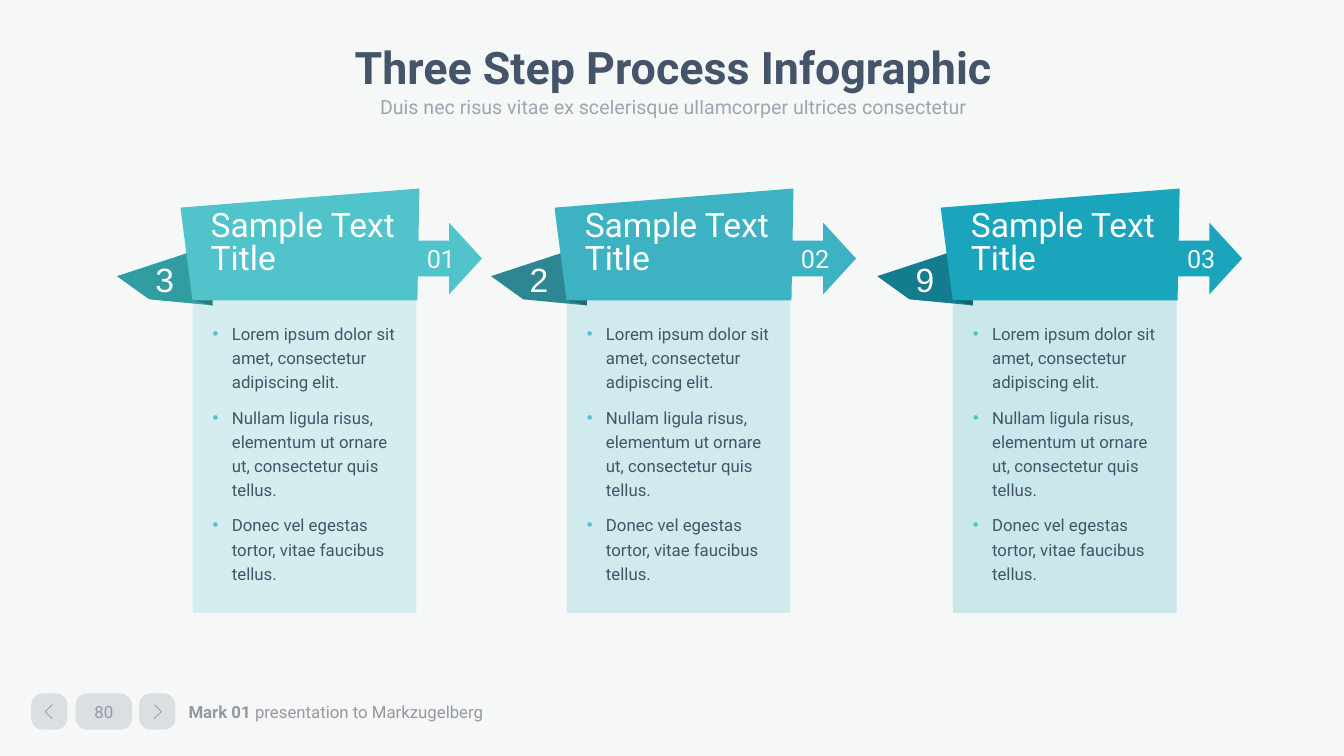
from dataclasses import dataclass

from lxml import etree
from pptx import Presentation
from pptx.dml.color import RGBColor
from pptx.enum.shapes import MSO_SHAPE
from pptx.enum.text import MSO_ANCHOR, MSO_AUTO_SIZE, PP_ALIGN
from pptx.oxml.ns import qn
from pptx.util import Pt

ROUNDED, RECTANGLE, ARROW = (
    MSO_SHAPE.ROUNDED_RECTANGLE, MSO_SHAPE.RECTANGLE, MSO_SHAPE.RIGHT_ARROW)
LEFT, CENTER = PP_ALIGN.LEFT, PP_ALIGN.CENTER
TOP, MIDDLE = MSO_ANCHOR.TOP, MSO_ANCHOR.MIDDLE
NO_AUTOFIT = MSO_AUTO_SIZE.NONE

PX = 9144  # 100 px to the inch
TITLE_ONLY = 5
INK, PAPER, WHITE, BULLET = "445469", "F6F8F8", "FFFFFF", "51C3CA"
DEFAULT_INSETS = (10, 5, 10, 5)

# Column outlines: x from the column's left edge, y from the slide's top
WEDGE = ((70, 251), (0, 274), (32, 297), (95, 303))
FOLD = ((75, 298), (95, 303), (95, 275))
BANNER = ((63, 206), (300, 187), (298, 298), (75, 298))

POINTS = [
    "Lorem ipsum dolor sit amet, consectetur adipiscing elit.",
    "Nullam ligula risus, elementum ut ornare ut, consectetur quis tellus.",
    "Donec vel egestas tortor, vitae faucibus tellus.",
]


@dataclass(frozen=True)
class Step:
    left: int
    badge: str
    number: str
    color: str
    wedge_color: str
    fold_color: str


@dataclass(frozen=True)
class TextStyle:
    size: int
    color: str = INK
    alpha: int = 100
    font: str = "Roboto"
    bold: bool = False
    align: PP_ALIGN = CENTER
    anchor: MSO_ANCHOR = MIDDLE
    spacing: float = 1.0
    after: int = 0
    bulleted: bool = False
    insets: tuple[int, int, int, int] = DEFAULT_INSETS


STEPS = [
    Step(116, "3", "01", "51C3CA", "329CA3", "21686C"),
    Step(487, "2", "02", "3CB2C3", "2D8692", "1E5962"),
    Step(870, "9", "03", "1AA5BD", "137C8E", "0D525E"),
]

TITLE = TextStyle(32, bold=True, anchor=TOP, spacing=0.9)
SUBTITLE = TextStyle(14, alpha=50, anchor=TOP, spacing=1.2)
BADGE = TextStyle(24, WHITE, font="Arial")
HEADING = TextStyle(24, WHITE, align=LEFT, spacing=0.8, insets=(30, 0, 10, 0))
NUMBER = TextStyle(18, PAPER)
BODY = TextStyle(12, align=LEFT, anchor=TOP, spacing=1.2, after=8,
                 bulleted=True, insets=(20, 20, 20, 20))
PAGE = TextStyle(12, alpha=50, insets=(0, 0, 0, 0))
FOOTER = TextStyle(12, "9499A1", align=LEFT, insets=(13, 7, 13, 7))


def paint(fill, color: str, alpha: int = 100) -> None:
    fill.solid()
    fill.fore_color.rgb = RGBColor.from_string(color)
    if alpha < 100:
        rgb = fill._xPr.find(f".//{qn('a:srgbClr')}")
        etree.SubElement(rgb, qn("a:alpha"), val=str(alpha * 1000))


def add_bullet(paragraph) -> None:
    properties = paragraph._p.get_or_add_pPr()
    properties.set("marL", str(19 * PX))
    properties.set("indent", str(-19 * PX))
    bullet_color = etree.SubElement(properties, qn("a:buClr"))
    etree.SubElement(bullet_color, qn("a:srgbClr"), val=BULLET)
    etree.SubElement(properties, qn("a:buFont"), typeface="Arial")
    etree.SubElement(properties, qn("a:buChar"), char="•")


def write(shape, lines: list[str], style: TextStyle) -> None:
    frame = shape.text_frame
    frame.word_wrap = True
    frame.auto_size = NO_AUTOFIT
    frame.vertical_anchor = style.anchor
    (frame.margin_left, frame.margin_top,
     frame.margin_right, frame.margin_bottom) = (n * PX for n in style.insets)
    frame.text = "\n".join(lines)
    for paragraph in frame.paragraphs:
        paragraph.alignment = style.align
        paragraph.line_spacing = style.spacing
        paragraph.space_before = Pt(0)
        paragraph.space_after = Pt(style.after)
        if style.bulleted:
            add_bullet(paragraph)
        font = paragraph.font
        font.size, font.name, font.bold = Pt(style.size), style.font, style.bold
        paint(font.fill, style.color, style.alpha)


def place(shape, left: int, top: int, width: int, height: int) -> None:
    shape.left, shape.top = left * PX, top * PX
    shape.width, shape.height = width * PX, height * PX


def add_preset(slide, kind, box: tuple[int, int, int, int], color: str,
               alpha: int = 100):
    shape = slide.shapes.add_shape(kind, *(n * PX for n in box))
    shape.shadow.inherit = False
    shape.line.fill.background()
    paint(shape.fill, color, alpha)
    return shape


def add_outline(slide, points, left: int = 0, closed: bool = True):
    (x, y), *rest = [(left + x, y) for x, y in points]
    builder = slide.shapes.build_freeform(x, y, scale=PX)
    builder.add_line_segments(rest, close=closed)
    shape = builder.convert_to_shape()
    shape.shadow.inherit = False
    return shape


def add_polygon(slide, points, left: int, color: str):
    shape = add_outline(slide, points, left)
    shape.line.fill.background()
    paint(shape.fill, color)
    return shape


def add_caption(slide, box: tuple[int, int, int, int], text: str,
                style: TextStyle):
    caption = slide.shapes.add_textbox(*(n * PX for n in box))
    write(caption, [text], style)
    return caption


def add_step(slide, step: Step) -> None:
    wedge = add_polygon(slide, WEDGE, step.left, step.wedge_color)
    write(wedge, [step.badge], BADGE)
    add_polygon(slide, FOLD, step.left, step.fold_color)
    banner = add_polygon(slide, BANNER, step.left, step.color)
    write(banner, ["Sample Text", "Title"], HEADING)
    arrow = add_preset(slide, ARROW, (step.left + 297, 221, 65, 71), step.color)
    write(arrow, [step.number], NUMBER)
    panel = add_preset(slide, RECTANGLE, (step.left + 75, 297, 222, 311),
                       step.color, 20)
    write(panel, POINTS, BODY)


def add_navigation(slide) -> None:
    previous_button, page_button, next_button = (
        add_preset(slide, ROUNDED, (left, 688, width, 36), INK, 15)
        for left, width in ((31, 36), (75, 56), (138, 36)))
    for button in (previous_button, page_button, next_button):
        button.adjustments[0] = 0.32
    write(page_button, ["80"], PAGE)
    for tip, back in ((45, 52), (160, 153)):
        chevron = add_outline(slide, ((back, 699), (tip, 706), (back, 713)),
                              closed=False)
        chevron.fill.background()
        chevron.line.width = Pt(0.5)
        paint(chevron.line.fill, INK, 50)
    footer = add_caption(slide, (174, 689, 367, 34), "Mark 01 ", FOOTER)
    paragraph = footer.text_frame.paragraphs[0]
    paragraph.runs[0].font.bold = True
    paragraph.add_run().text = "presentation to Markzugelberg"


def main() -> None:
    deck = Presentation()
    deck.slide_width, deck.slide_height = 1333 * PX, 750 * PX
    slide = deck.slides.add_slide(deck.slide_layouts[TITLE_ONLY])
    paint(slide.background.fill, PAPER)
    title = slide.shapes.title
    place(title, 93, 40, 1150, 56)
    write(title, ["Three Step Process Infographic"], TITLE)
    add_caption(
        slide, (196, 85, 944, 42),
        "Duis nec risus vitae ex scelerisque ullamcorper ultrices consectetur",
        SUBTITLE)
    add_navigation(slide)
    for step in STEPS:
        add_step(slide, step)
    deck.save("out.pptx")


if __name__ == "__main__":
    main()
